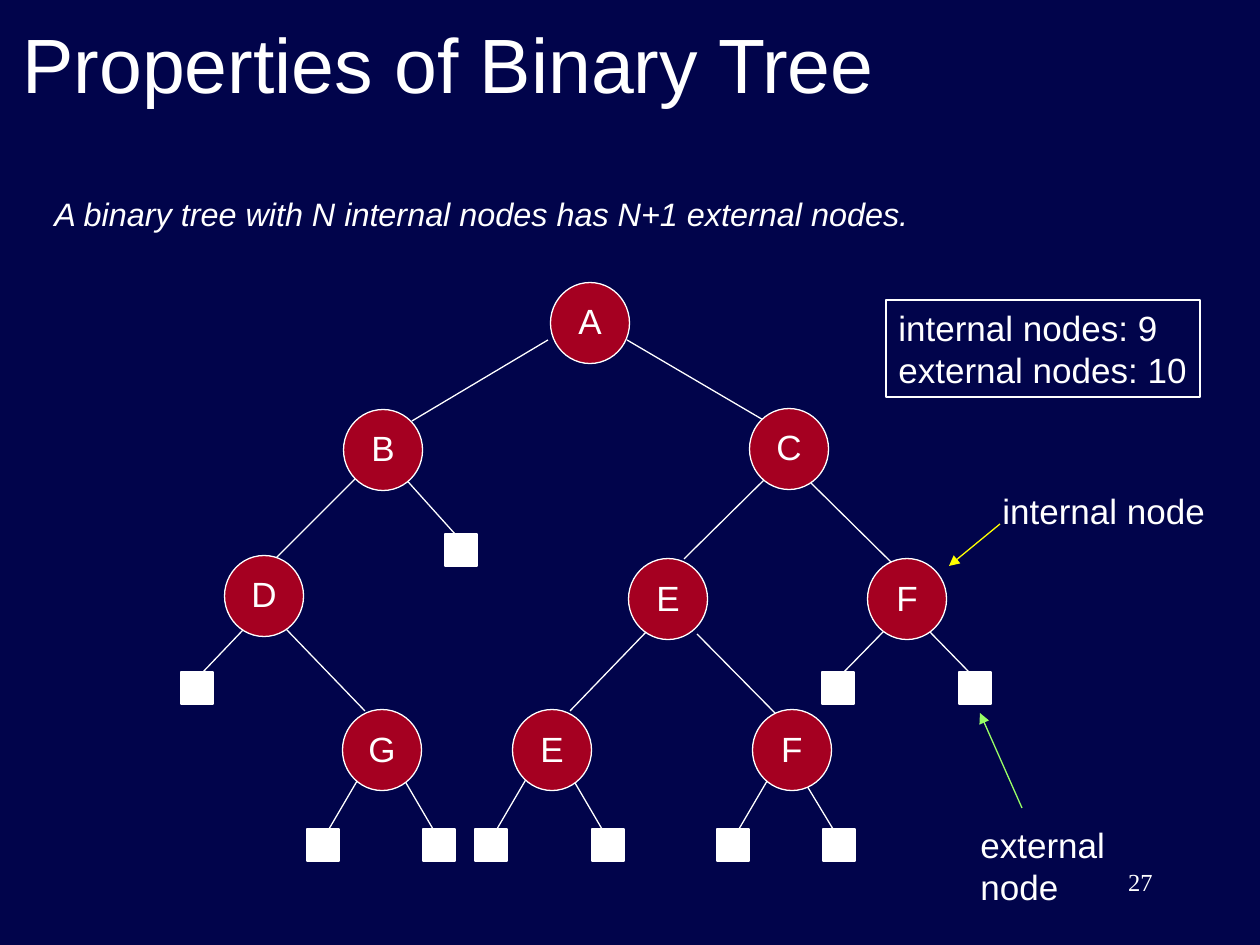
"""Build a slide on the internal and external nodes of a binary tree."""
from dataclasses import dataclass

from lxml.etree import SubElement
from pptx import Presentation
from pptx.dml.color import RGBColor
from pptx.enum.shapes import MSO_CONNECTOR, MSO_SHAPE
from pptx.enum.text import MSO_ANCHOR, PP_ALIGN
from pptx.oxml.ns import qn
from pptx.util import Pt

EMU_PER_PX = 914400 / 126


@dataclass(frozen=True)
class Theme:
    background: str = "01044B"
    ink: str = "FFFFFF"
    node: str = "A50021"
    internal_arrow: str = "FFFF00"
    external_arrow: str = "99FF66"
    font: str = "Arial"
    number_font: str = "Times New Roman"
    title: float = 44
    statement: float = 18.5
    label: float = 20
    number: float = 14
    line: float = 0.75


def px(*lengths):
    return [round(n * EMU_PER_PX) for n in lengths]


def write(tf, text, *, font, size, color, italic=False, align=PP_ALIGN.LEFT,
          anchor=MSO_ANCHOR.TOP, wrap=True, spacing=None, before=None):
    tf.word_wrap = wrap
    tf.vertical_anchor = anchor
    for i, line in enumerate(text.split("\n")):
        p = tf.add_paragraph() if i else tf.paragraphs[0]
        p.alignment = align
        p.line_spacing = spacing
        p.space_before = before
        r = p.add_run()
        r.text = line
        r.font.name = font
        r.font.size = Pt(size)
        r.font.italic = italic
        r.font.color.rgb = RGBColor.from_string(color)


class TreeSlide:
    NODE_W, NODE_H = 79, 81
    LEAF = 32

    def __init__(self, prs, theme):
        self.theme = theme
        self.s = prs.slides.add_slide(prs.slide_layouts[6])
        fill = self.s.background.fill
        fill.solid()
        fill.fore_color.rgb = RGBColor.from_string(theme.background)

    def text(self, box, text, **fmt):
        sp = self.s.shapes.add_textbox(*px(*box))
        self.put(sp, text, **fmt)

    def put(self, sp, text, **fmt):
        t = self.theme
        write(sp.text_frame, text,
              **{"font": t.font, "size": t.label, "color": t.ink, **fmt})

    def shape(self, kind, box, fill=None):
        sp = self.s.shapes.add_shape(kind, *px(*box))
        sp.shadow.inherit = False
        if fill:
            sp.fill.solid()
            sp.fill.fore_color.rgb = RGBColor.from_string(fill)
        else:
            sp.fill.background()
        self.stroke(sp.line, self.theme.ink)
        return sp

    def stroke(self, line, color):
        line.color.rgb = RGBColor.from_string(color)
        line.width = Pt(self.theme.line)

    def line(self, ends, color=None, arrow=False):
        c = self.s.shapes.add_connector(MSO_CONNECTOR.STRAIGHT, *px(*ends))
        self.stroke(c.line, color or self.theme.ink)
        if arrow:
            SubElement(c.line._get_or_add_ln(), qn("a:tailEnd"), type="triangle")
        SubElement(c._element.spPr, qn("a:effectLst"))

    def node(self, name, x, y):
        w, h = self.NODE_W, self.NODE_H
        sp = self.shape(MSO_SHAPE.OVAL, (x - w / 2, y - h / 2, w, h), self.theme.node)
        tf = sp.text_frame
        tf.margin_left = tf.margin_right = tf.margin_top = 0
        tf.margin_bottom = px(4)[0]
        self.put(sp, name, align=PP_ALIGN.CENTER, anchor=MSO_ANCHOR.MIDDLE)

    def leaf(self, ends):
        x1, _, x2, y2 = ends
        left = x2 - (22 if x2 < x1 else 10)
        self.line(ends)
        self.shape(MSO_SHAPE.RECTANGLE, (left, y2, self.LEAF, self.LEAF), self.theme.ink)

    def framed_text(self, box, text):
        sp = self.shape(MSO_SHAPE.RECTANGLE, box)
        self.put(sp, text, wrap=False)


NODES = [
    ("A", 590, 323), ("B", 383, 450), ("C", 789, 449),
    ("D", 264, 596), ("E", 668, 599), ("F", 907, 599),
    ("G", 382, 750), ("E", 552, 750), ("F", 792, 750),
]
BRANCHES = [
    (548, 340, 412, 421), (627, 340, 765, 421),
    (355, 479, 275, 559), (765, 479, 684, 559), (811, 483, 892, 563),
    (286, 629, 365, 711), (649, 629, 570, 711), (697, 634, 776, 714),
]
LEAVES = [
    (402, 475, 455, 534), (244, 629, 203, 672),
    (886, 629, 844, 672), (927, 629, 969, 672),
    (360, 776, 329, 829), (402, 776, 433, 829),
    (528, 776, 497, 829), (571, 776, 602, 829),
    (770, 776, 739, 829), (801, 776, 833, 829),
]


def main():
    theme = Theme()
    prs = Presentation()
    prs.slide_width, prs.slide_height = px(1260, 945)
    s = TreeSlide(prs, theme)

    s.text((10, 0, 1134, 126), "Properties of Binary Tree",
           size=theme.title, anchor=MSO_ANCHOR.MIDDLE)
    s.text((42, 199, 1134, 42),
           "A binary tree with N internal nodes has N+1 external nodes.",
           size=theme.statement, italic=True, spacing=0.7, before=Pt(5))

    for ends in BRANCHES:
        s.line(ends)
    for ends in LEAVES:
        s.leaf(ends)
    for name, x, y in NODES:
        s.node(name, x, y)

    s.framed_text((886, 300, 314, 97), "internal nodes: 9\nexternal nodes: 10")
    s.text((990, 483, 228, 55), "internal node", wrap=False)
    s.line((1000, 524, 949, 566), theme.internal_arrow, arrow=True)
    s.text((968, 817, 237, 55), "external node", wrap=False)
    s.line((1022, 808, 980, 713), theme.external_arrow, arrow=True)
    s.text((903, 861, 262, 63), "27", font=theme.number_font,
           size=theme.number, align=PP_ALIGN.RIGHT)

    prs.save("out.pptx")


if __name__ == "__main__":
    main()
